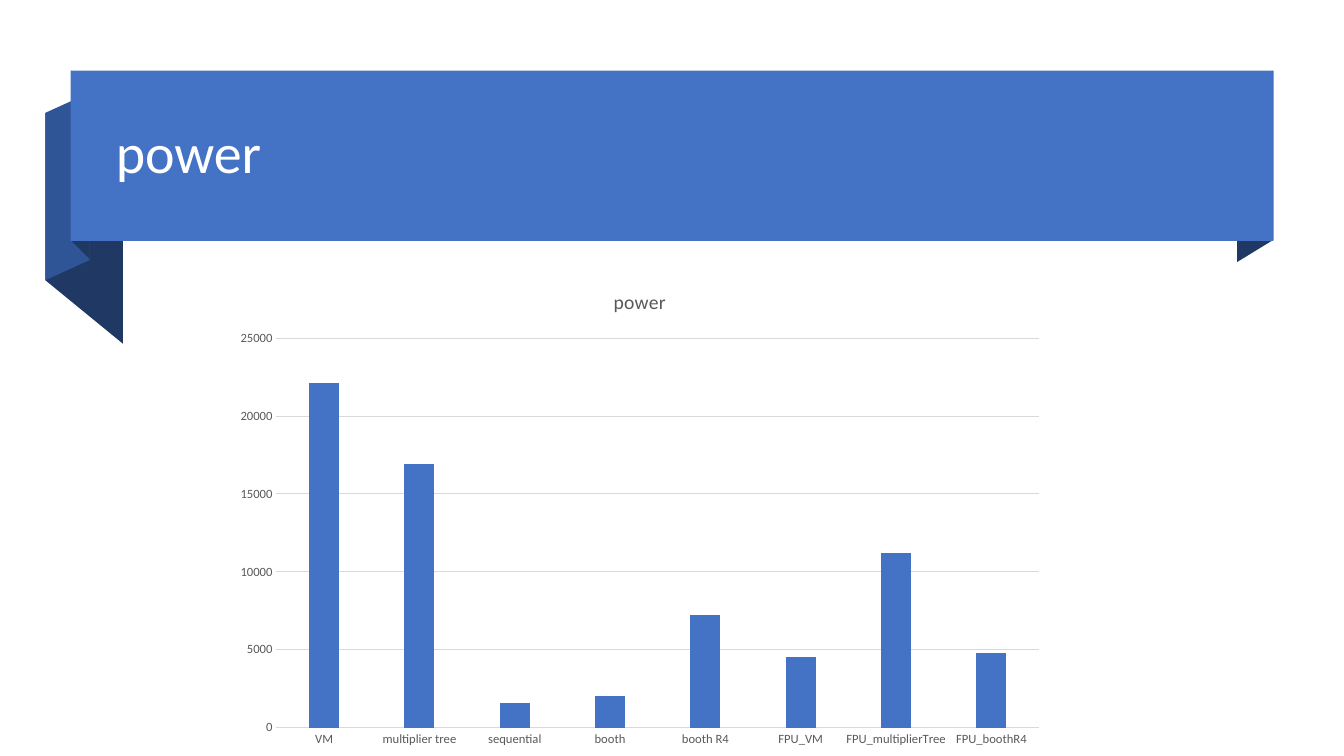
from pptx import Presentation
from pptx import util as u
from pptx.chart.data import CategoryChartData
from pptx.dml.color import RGBColor
from pptx.enum import chart as ch, shapes, text

Inches, Pt = u.Inches, u.Pt
COLORS = {"blue": "4472C4", "mid": "2F5597", "navy": "203864",
          "white": "FFFFFF", "gray": "595959", "grid": "D9D9D9"}


def rgb(name):
    return RGBColor.from_string(COLORS[name])


def write(tf, content, size, color, spacing=None):
    p = tf.paragraphs[0]
    p.line_spacing = spacing
    r = p.add_run()
    r.text = content
    r.font.name = "Calibri"
    r.font.size = Pt(size)
    r.font.bold = False
    r.font.color.rgb = rgb(color)


prs = Presentation()
prs.slide_width, prs.slide_height = Inches(13.33), Inches(7.5)
s = prs.slides.add_slide(prs.slide_layouts[6])

ribbon_folds = [
    ("navy", [(1.22, 3.41), (0.45, 2.78), (0.45, 1.12), (1.22, 1.75)]),
    ("mid", [(0.89, 2.58), (0.45, 2.78), (0.45, 1.12), (0.89, 0.92)]),
    ("navy", [(0.89, 2.57), (0.71, 2.39), (0.71, 0.7), (0.89, 0.89)]),
    ("navy", [(12.63, 2.38), (12.27, 2.6), (12.27, 0.91), (12.63, 0.7)]),
]
folds = []
for color, corners in ribbon_folds:
    points = [(Inches(x), Inches(y)) for x, y in corners]
    fb = s.shapes.build_freeform(*points[0])
    fb.add_line_segments(points[1:], close=True)
    folds.append((fb.convert_to_shape(), color))

banner = s.shapes.add_shape(shapes.MSO_SHAPE.RECTANGLE,
                            Inches(0.7), Inches(0.7), Inches(11.93), Inches(1.69))
for sp, color in folds + [(banner, "blue")]:
    sp.shadow.inherit = False
    sp.fill.solid()
    sp.fill.fore_color.rgb = rgb(color)
    sp.line.fill.background()

title = s.shapes.add_textbox(Inches(1.05), Inches(0.88), Inches(11.23), Inches(1.33))
tf = title.text_frame
tf.word_wrap = True
tf.vertical_anchor = text.MSO_ANCHOR.MIDDLE
write(tf, "power", size=40, color="white", spacing=0.9)

data = CategoryChartData()
data.categories = ["VM", "multiplier tree", "sequential", "booth", "booth R4",
                   "FPU_VM", "FPU_multiplierTree", "FPU_boothR4"]
data.add_series("power", [22100, 16900, 1600, 2000, 7200, 4500, 11200, 4800])
chart = s.shapes.add_chart(ch.XL_CHART_TYPE.COLUMN_CLUSTERED, Inches(2.22), Inches(2.68),
                           Inches(8.25), Inches(4.82), data).chart
chart.font.name = "Calibri"
chart.font.size = Pt(10)
chart.has_legend = False
chart.has_title = True
chart.chart_title.include_in_layout = False
write(chart.chart_title.text_frame, "power", size=14, color="gray")

plot = chart.plots[0]
plot.gap_width, plot.overlap = 219, -27
plot.vary_by_categories = False
bars = plot.series[0]
bars.invert_if_negative = False
bars.format.fill.solid()
bars.format.fill.fore_color.rgb = rgb("blue")

for axis in (chart.category_axis, chart.value_axis):
    axis.major_tick_mark = axis.minor_tick_mark = ch.XL_TICK_MARK.NONE
    font = axis.tick_labels.font
    font.name, font.size = "Calibri", Pt(9)
    font.color.rgb = rgb("gray")
chart.value_axis.minimum_scale = 0
chart.value_axis.maximum_scale = 25000
chart.value_axis.major_unit = 5000
chart.value_axis.format.line.fill.background()
for line in (chart.category_axis.format.line,
             chart.value_axis.major_gridlines.format.line):
    line.color.rgb = rgb("grid")
    line.width = Pt(0.75)

prs.save("out.pptx")
